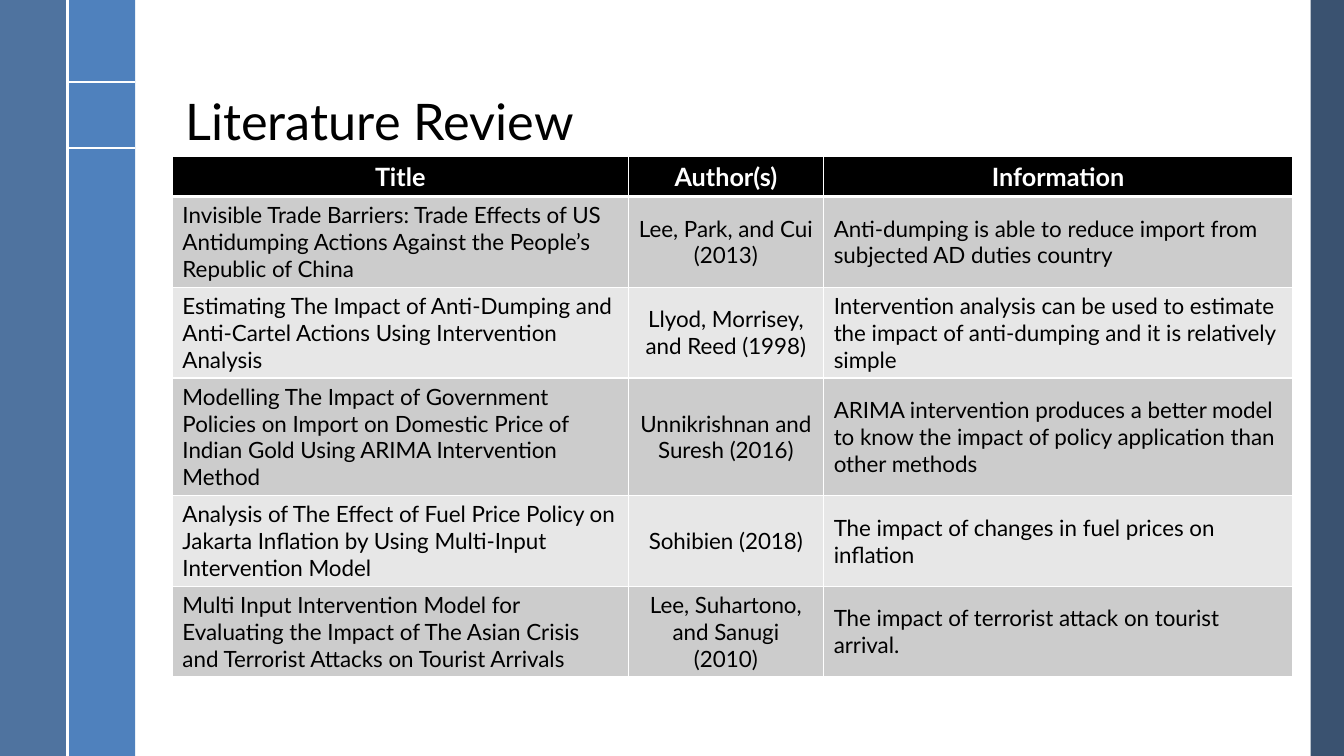
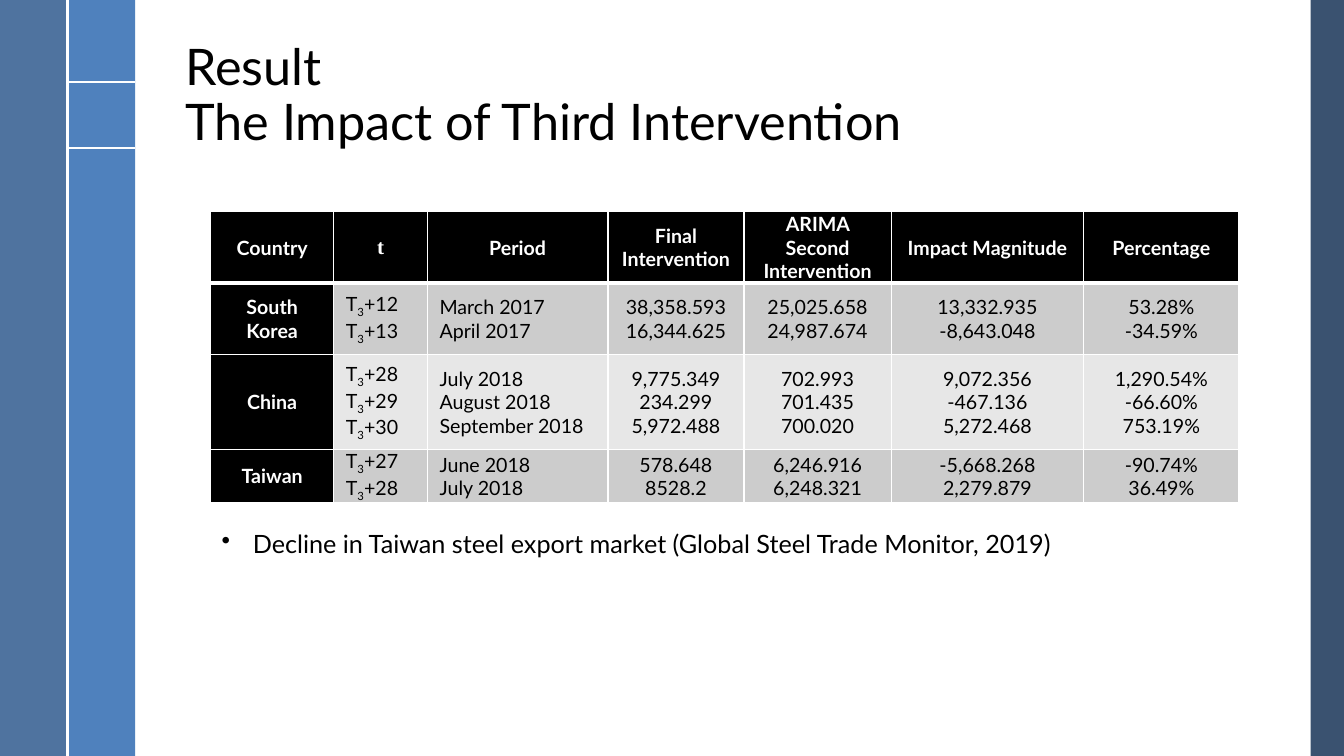
from lxml import etree
from pptx import Presentation, util as u
from pptx.dml import color
from pptx.enum import shapes, text
from pptx.oxml import ns

LEFT, CENTER = text.PP_ALIGN.LEFT, text.PP_ALIGN.CENTER


def rgb(value):
    """Turn a hex string into a colour."""
    return color.RGBColor.from_string(value)


def px(length):
    """Turn px into EMU at 100 px to the inch."""
    return u.Emu(length * 9144)


class Deck:
    """Hold the shared style and the current slide."""

    FONT, BLACK, WHITE = "Lato", "000000", "FFFFFF"
    STRIPES = ["CCCCCC", "E7E7E7"]
    WIDTH, HEIGHT = 1333, 750
    BANDS = [(1300, 33, "254061", 90), (67, 67, "4F81BD", 100), (0, 67, "376092", 88)]
    RULES = [(67, 81, 134, 81), (67, 147, 134, 147), (67, 0, 67, HEIGHT)]

    def __init__(self):
        """Start an empty presentation."""
        self.presentation = Presentation()
        self.presentation.slide_width = px(self.WIDTH)
        self.presentation.slide_height = px(self.HEIGHT)
        self.slide = None

    def add_slide(self, title):
        """Add a slide with its bands, rules and title."""
        self.slide = self.presentation.slides.add_slide(self.presentation.slide_layouts[6])
        for left, width, fill, opacity in self.BANDS:
            self.band(left, width, fill, opacity)
        for ends in self.RULES:
            self.rule(*ends)
        self.title(title)

    def band(self, left, width, fill, opacity):
        """Draw a full-height band."""
        shape = self.slide.shapes.add_shape(
            shapes.MSO_SHAPE.RECTANGLE, px(left), 0, px(width), px(self.HEIGHT))
        shape.shadow.inherit = False
        shape.line.fill.background()
        shape.fill.solid()
        shape.fill.fore_color.rgb = rgb(fill)
        if opacity < 100:
            tint = shape.fill._xPr.find(".//" + ns.qn("a:srgbClr"))
            etree.SubElement(tint, ns.qn("a:alpha"), val=str(opacity * 1000))

    def rule(self, left, top, right, bottom):
        """Draw a thin white line."""
        connector = self.slide.shapes.add_connector(
            shapes.MSO_CONNECTOR.STRAIGHT, px(left), px(top), px(right), px(bottom))
        connector.line.color.rgb = rgb(self.WHITE)
        connector.line.width = u.Pt(1.5)
        etree.SubElement(connector._element.spPr, ns.qn("a:effectLst"))

    def run(self, paragraph, words, size, ink=BLACK, bold=False, subscript=False):
        """Add one styled run."""
        run = paragraph.add_run()
        run.text = words
        run.font.name = self.FONT
        run.font.size = u.Pt(size)
        run.font.bold = bold
        run.font.color.rgb = rgb(ink)
        if subscript:
            run._r.get_or_add_rPr().set("baseline", "-25000")

    def title(self, title):
        """Add the title, one line for each line of its text."""
        frame = self.slide.shapes.add_textbox(px(174), px(19), px(1070), px(136)).text_frame
        frame.word_wrap = True
        frame.vertical_anchor = text.MSO_ANCHOR.BOTTOM
        paragraph = frame.paragraphs[0]
        paragraph.line_spacing = 0.9
        for index, line in enumerate(title.split("\n")):
            if index:
                paragraph.add_line_break()
            self.run(paragraph, line, 36)

    def bullet(self, left, top, width, height, words):
        """Add a one-line bullet."""
        frame = self.slide.shapes.add_textbox(px(left), px(top), px(width), px(height)).text_frame
        frame.word_wrap = False
        frame.auto_size = text.MSO_AUTO_SIZE.SHAPE_TO_FIT_TEXT
        paragraph = frame.paragraphs[0]
        properties = paragraph._p.get_or_add_pPr()
        properties.set("marL", str(px(31)))
        properties.set("indent", str(-px(31)))
        etree.SubElement(properties, ns.qn("a:buChar"), char="•")
        self.run(paragraph, words, 18)

    def borders(self, cell, row):
        """Give a cell white borders, thick under the header row."""
        properties = cell._tc.get_or_add_tcPr()
        widths = {"L": 1, "R": 1, "T": 3 if row == 1 else 1, "B": 3 if row == 0 else 1}
        for index, (side, width) in enumerate(widths.items()):
            line = etree.Element(ns.qn("a:ln" + side), w=str(u.Pt(width)))
            fill = etree.SubElement(line, ns.qn("a:solidFill"))
            etree.SubElement(fill, ns.qn("a:srgbClr"), val=self.WHITE)
            properties.insert(index, line)

    def cell(self, cell, words, size, align, fill, heading):
        """Fill a cell, a paragraph for each line, with subscripts between bars."""
        cell.fill.solid()
        cell.fill.fore_color.rgb = rgb(fill)
        cell.vertical_anchor = text.MSO_ANCHOR.MIDDLE
        ink = self.WHITE if heading else self.BLACK
        for index, line in enumerate(words.split("\n")):
            frame = cell.text_frame
            paragraph = frame.add_paragraph() if index else frame.paragraphs[0]
            paragraph.alignment = align
            for part, piece in enumerate(line.split("|")):
                self.run(paragraph, piece, size, ink, heading, part % 2 == 1)

    def table(self, left, top, widths, heights, rows, aligns, sizes,
              heading_column=False, margins=None):
        """Add a striped table with a black header row."""
        table = self.slide.shapes.add_table(
            len(rows), len(widths), px(left), px(top), px(sum(widths)), px(sum(heights))).table
        table.first_col = heading_column
        for column, width in zip(table.columns, widths):
            column.width = px(width)
        for row, (height, values) in enumerate(zip(heights, rows)):
            table.rows[row].height = px(height)
            for column, words in enumerate(values):
                cell = table.cell(row, column)
                heading = row == 0 or (heading_column and column == 0)
                fill = self.BLACK if heading else self.STRIPES[(row - 1) % 2]
                align = CENTER if heading else aligns[column]
                self.cell(cell, words, sizes[row > 0], align, fill, heading)
                if margins:
                    cell.margin_left = cell.margin_right = px(margins[0])
                    cell.margin_top = cell.margin_bottom = px(margins[1])
                self.borders(cell, row)
        return table


LITERATURE = [
    ["Title", "Author(s)", "Information"],
    ["Invisible Trade Barriers: Trade Effects of US Antidumping Actions Against the "
     "People’s Republic of China",
     "Lee, Park, and Cui (2013)",
     "Anti-dumping is able to reduce import from subjected AD duties country"],
    ["Estimating The Impact of Anti‐Dumping and Anti‐Cartel Actions Using Intervention Analysis",
     "Llyod, Morrisey, and Reed (1998)",
     "Intervention analysis can be used to estimate the impact of anti-dumping and it is "
     "relatively simple"],
    ["Modelling The Impact of Government Policies on Import on Domestic Price of Indian Gold "
     "Using ARIMA Intervention Method",
     "Unnikrishnan and Suresh (2016)",
     "ARIMA intervention produces a better model to know the impact of policy application "
     "than other methods"],
    ["Analysis of The Effect of Fuel Price Policy on Jakarta Inflation by Using Multi-Input "
     "Intervention Model",
     "Sohibien (2018)",
     "The impact of changes in fuel prices on inflation"],
    ["Multi Input Intervention Model for Evaluating the Impact of The Asian Crisis and "
     "Terrorist Attacks on Tourist Arrivals",
     "Lee, Suhartono, and Sanugi (2010)",
     "The impact of terrorist attack on tourist arrival."],
]

IMPACT = [
    ["Country", "t", "Period", "Final Intervention", "ARIMA Second Intervention",
     "Impact Magnitude", "Percentage"],
    ["South Korea", "T|3|+12\nT|3|+13", "March 2017\nApril 2017", "38,358.593\n16,344.625",
     "25,025.658\n24,987.674", "13,332.935\n-8,643.048", "53.28%\n-34.59%"],
    ["China", "T|3|+28\nT|3|+29\nT|3|+30", "July 2018\nAugust 2018\nSeptember 2018",
     "9,775.349\n234.299\n5,972.488", "702.993\n701.435\n700.020",
     "9,072.356\n-467.136\n5,272.468", "1,290.54%\n-66.60%\n753.19%"],
    ["Taiwan", "T|3|+27\nT|3|+28", "June 2018\nJuly 2018", "578.648\n8528.2",
     "6,246.916\n6,248.321", "-5,668.268\n2,279.879", "-90.74%\n36.49%"],
]


def main():
    """Build both slides and save them."""
    deck = Deck()

    deck.add_slide("Literature Review")
    deck.table(171, 155, [452, 194, 465], [40, 89, 89, 116, 89, 89], LITERATURE,
               [LEFT, CENTER, LEFT], (18, 16))

    deck.add_slide("Result\nThe Impact of Third Intervention")
    table = deck.table(209, 210, [122, 93, 179, 135, 146, 191, 154], [71, 71, 94, 52], IMPACT,
                       [CENTER, LEFT, LEFT] + [CENTER] * 4, (14, 14),
                       heading_column=True, margins=(12, 0))
    symbol = table.cell(0, 1).text_frame.paragraphs[0].runs[0].font
    symbol.name = "Times New Roman"
    symbol.size = u.Pt(15)
    deck.bullet(210, 519, 874, 40,
                "Decline in Taiwan steel export market (Global Steel Trade Monitor, 2019)")

    deck.presentation.save("out.pptx")


if __name__ == "__main__":
    main()
